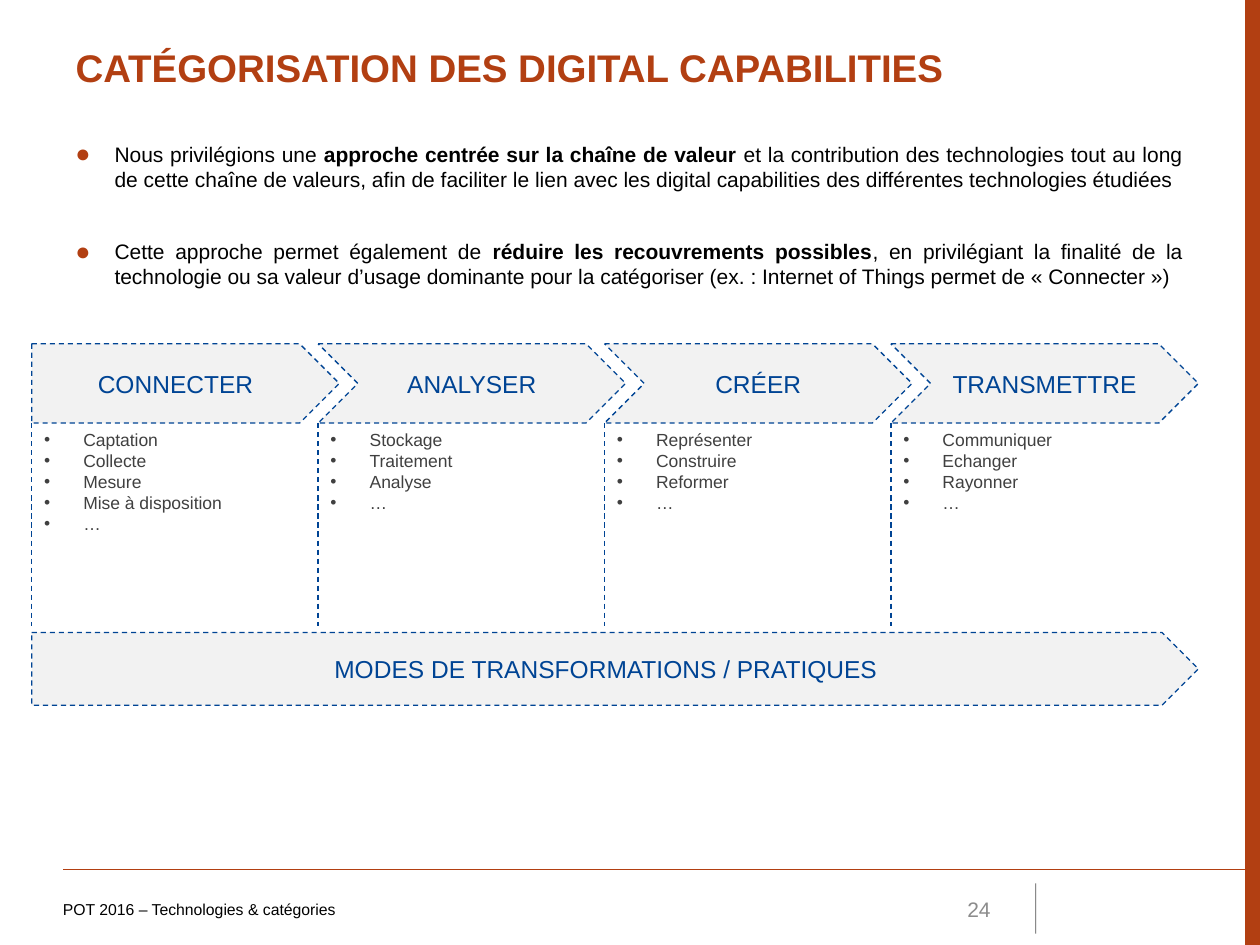
from dataclasses import dataclass

from lxml import etree
from pptx import Presentation
from pptx.dml.color import RGBColor
from pptx.enum.dml import MSO_LINE
from pptx.enum.shapes import MSO_CONNECTOR, MSO_SHAPE
from pptx.enum.text import MSO_ANCHOR, MSO_AUTO_SIZE, PP_ALIGN
from pptx.oxml.ns import qn
from pptx.util import Cm, Pt

TOP, MIDDLE = MSO_ANCHOR.TOP, MSO_ANCHOR.MIDDLE
LEFT, CENTER, RIGHT, JUSTIFY = PP_ALIGN.LEFT, PP_ALIGN.CENTER, PP_ALIGN.RIGHT, PP_ALIGN.JUSTIFY
DASH = MSO_LINE.DASH
PENTAGON, CHEVRON, RECT = MSO_SHAPE.PENTAGON, MSO_SHAPE.CHEVRON, MSO_SHAPE.RECTANGLE

TITLE = "CATÉGORISATION DES DIGITAL CAPABILITIES"
# Each paragraph is a list of (text, bold) runs.
APPROACH = [
    [("Nous privilégions une ", False),
     ("approche centrée sur la chaîne de valeur ", True),
     ("et la contribution des technologies tout au long de cette chaîne de valeurs, "
      "afin de faciliter le lien avec les digital capabilities des différentes "
      "technologies étudiées", False)],
    [("Cette approche permet également de ", False),
     ("réduire les recouvrements possibles", True),
     (", en privilégiant la finalité de la technologie ou sa valeur d’usage dominante "
      "pour la catégoriser (ex. : Internet of Things permet de « Connecter »)", False)],
]
STAGES = [
    ("CONNECTER", ["Captation", "Collecte", "Mesure", "Mise à disposition", "…"]),
    ("ANALYSER", ["Stockage", "Traitement", "Analyse", "…"]),
    ("CRÉER", ["Représenter", "Construire", "Reformer", "…"]),
    ("TRANSMETTRE", ["Communiquer", "Echanger", "Rayonner", "…"]),
]
PRACTICES = "MODES DE TRANSFORMATIONS / PRATIQUES"
FOOTER = "POT 2016 – Technologies & catégories"
PAGE = "24"


@dataclass(frozen=True)
class Theme:
    font: str = "Arial"
    accent: str = "B23F12"
    blue: str = "004494"
    panel: str = "F2F2F2"
    text: str = "000000"
    item: str = "404040"
    muted: str = "8C8C8C"
    title_pt: float = 22
    stage_pt: float = 14
    body_pt: float = 12
    item_pt: float = 10
    footer_pt: float = 9


T = Theme()

# Value chain geometry, in cm
CHAIN_LEFT, CHAIN_WIDTH, CHAIN_TOP = 0.64, 23.52, 6.93
STAGE_WIDTH, STAGE_HEIGHT = 6.2, 1.6
STAGE_STEP = (CHAIN_WIDTH - STAGE_WIDTH) / (len(STAGES) - 1)
LIST_TOP = CHAIN_TOP + STAGE_HEIGHT
LIST_WIDTH, DIVIDER_END = 5.46, 12.62
PRACTICES_TOP, PRACTICES_HEIGHT = 12.75, 1.47
INDENT = 0.79


def rgb(color):
    return RGBColor.from_string(color)


def add_run(p, text, size, color, bold=False):
    r = p.add_run()
    r.text = text
    r.font.name, r.font.size, r.font.bold = T.font, Pt(size), bold
    r.font.color.rgb = rgb(color)


def add_bullet(p, char, color=None, percent=None):
    pPr = p._p.get_or_add_pPr()
    pPr.set("marL", str(Cm(INDENT)))
    pPr.set("indent", str(-Cm(INDENT)))
    if color:
        clr = etree.SubElement(pPr, qn("a:buClr"))
        etree.SubElement(clr, qn("a:srgbClr")).set("val", color)
    if percent:
        etree.SubElement(pPr, qn("a:buSzPct")).set("val", str(percent * 1000))
    etree.SubElement(pPr, qn("a:buFont")).set("typeface", T.font)
    etree.SubElement(pPr, qn("a:buChar")).set("char", char)


def add_text_box(s, left, top, width, height, anchor=TOP):
    tf = s.shapes.add_textbox(Cm(left), Cm(top), Cm(width), Cm(height)).text_frame
    tf.word_wrap = True
    tf.vertical_anchor = anchor
    return tf


def next_paragraph(tf, index):
    return tf.add_paragraph() if index else tf.paragraphs[0]


def add_line(s, x1, y1, x2, y2, color, width=0.75, dash=None, opacity=None):
    line = s.shapes.add_connector(MSO_CONNECTOR.STRAIGHT, Cm(x1), Cm(y1), Cm(x2), Cm(y2))
    line.line.color.rgb = rgb(color)
    line.line.width = Pt(width)
    if dash:
        line.line.dash_style = dash
    spPr = line._element.spPr
    if opacity:
        clr = spPr.find(".//" + qn("a:srgbClr"))
        etree.SubElement(clr, qn("a:alpha")).set("val", str(opacity * 1000))
    etree.SubElement(spPr, qn("a:effectLst"))


def add_arrow_box(s, kind, left, top, width, height, label):
    sp = s.shapes.add_shape(kind, Cm(left), Cm(top), Cm(width), Cm(height))
    sp.shadow.inherit = False
    sp.fill.solid()
    sp.fill.fore_color.rgb = rgb(T.panel)
    sp.line.color.rgb = rgb(T.blue)
    sp.line.width = Pt(0.75)
    sp.line.dash_style = DASH
    sp.text_frame.vertical_anchor = MIDDLE
    p = sp.text_frame.paragraphs[0]
    p.alignment = CENTER
    add_run(p, label, T.stage_pt, T.blue)


def add_frame(s):
    """Side band, footer rule, footer text and page number."""
    band = s.shapes.add_shape(RECT, Cm(25.1), Cm(0), Cm(0.3), Cm(19.05))
    band.shadow.inherit = False
    band.fill.solid()
    band.fill.fore_color.rgb = rgb(T.accent)
    band.line.fill.background()
    add_line(s, 1.27, 17.53, 25.4, 17.53, T.accent)
    add_line(s, 20.88, 17.81, 20.88, 18.82, T.text, width=0.5, opacity=70)
    tf = add_text_box(s, 1.27, 17.81, 15.44, 1.02, MIDDLE)
    tf.margin_left = 0
    add_run(tf.paragraphs[0], FOOTER, T.footer_pt, T.text)
    p = add_text_box(s, 18.21, 17.81, 2.01, 1.02, MIDDLE).paragraphs[0]
    p.alignment = RIGHT
    add_run(p, PAGE, T.body_pt, T.muted)


def add_title(s):
    title = s.shapes.title
    title.left, title.top, title.width, title.height = Cm(1.27), Cm(0.76), Cm(22.83), Cm(1.75)
    tf = title.text_frame
    tf.auto_size = MSO_AUTO_SIZE.NONE
    tf.vertical_anchor = TOP
    p = tf.paragraphs[0]
    p.alignment = LEFT
    add_run(p, TITLE, T.title_pt, T.accent, bold=True)


def add_approach(s):
    tf = add_text_box(s, 1.27, 2.72, 22.83, 14.4)
    for i, runs in enumerate(APPROACH):
        p = next_paragraph(tf, i)
        p.alignment = JUSTIFY
        p.space_before, p.space_after = Pt(24 if i else 3), Pt(3)
        add_bullet(p, "●", T.accent, 120)
        for text, bold in runs:
            add_run(p, text, T.body_pt, T.text, bold)


def add_value_chain(s):
    for i, (name, items) in enumerate(STAGES):
        left = CHAIN_LEFT + i * STAGE_STEP
        add_arrow_box(s, CHEVRON if i else PENTAGON, left, CHAIN_TOP,
                      STAGE_WIDTH, STAGE_HEIGHT, name)
        add_line(s, left, LIST_TOP, left, DIVIDER_END, T.blue, dash=DASH)
        tf = add_text_box(s, left, LIST_TOP, LIST_WIDTH, 0.25 + 0.43 * len(items) + 0.4)
        for j, item in enumerate(items):
            p = next_paragraph(tf, j)
            add_bullet(p, "•")
            add_run(p, item, T.item_pt, T.item)
    add_arrow_box(s, PENTAGON, CHAIN_LEFT, PRACTICES_TOP,
                  CHAIN_WIDTH, PRACTICES_HEIGHT, PRACTICES)


def main():
    prs = Presentation()
    prs.slide_width, prs.slide_height = Cm(25.4), Cm(19.05)
    s = prs.slides.add_slide(prs.slide_layouts[5])
    add_frame(s)
    add_title(s)
    add_approach(s)
    add_value_chain(s)
    prs.save("out.pptx")


if __name__ == "__main__":
    main()
